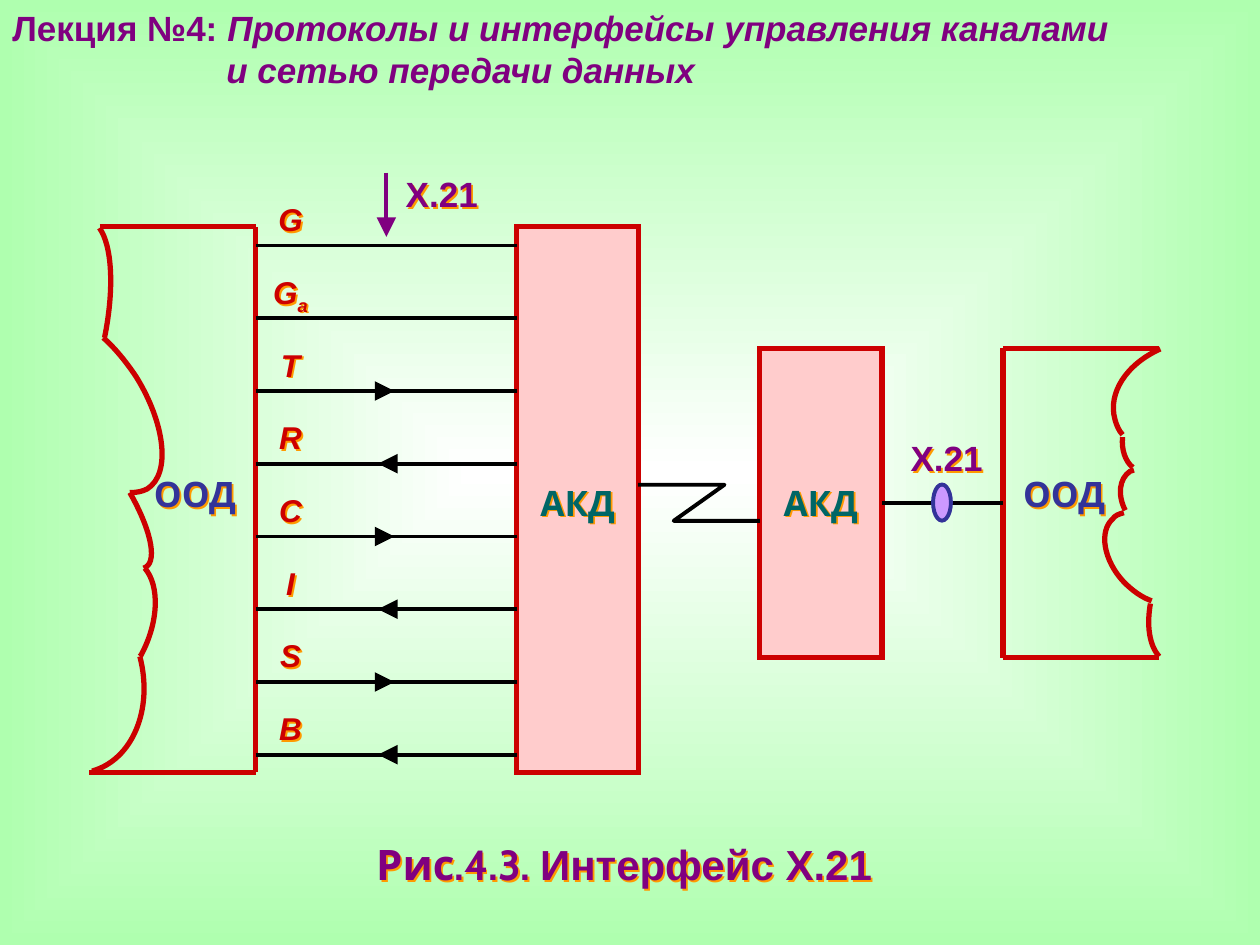
"""Build the slide with the X.21 interface diagram."""
from copy import deepcopy

from lxml import etree
from pptx import Presentation
from pptx.dml.color import RGBColor
from pptx.enum.lang import MSO_LANGUAGE_ID
from pptx.enum.shapes import MSO_CONNECTOR, MSO_SHAPE
from pptx.enum.text import MSO_AUTO_SIZE, PP_ALIGN
from pptx.oxml import parse_xml
from pptx.oxml.ns import nsdecls, qn
from pptx.util import Pt

STRAIGHT = MSO_CONNECTOR.STRAIGHT
RECTANGLE, OVAL = MSO_SHAPE.RECTANGLE, MSO_SHAPE.OVAL
CENTER, FIT = PP_ALIGN.CENTER, MSO_AUTO_SIZE.SHAPE_TO_FIT_TEXT
RUSSIAN = MSO_LANGUAGE_ID.RUSSIAN
WHITE = RGBColor(0xFF, 0xFF, 0xFF)
GREEN = RGBColor(0xAF, 0xFF, 0xAF)
RED = RGBColor(0xCC, 0x00, 0x00)
PINK = RGBColor(0xFF, 0xCC, 0xCC)
BLACK = RGBColor(0x00, 0x00, 0x00)
PURPLE = RGBColor(0x80, 0x00, 0x80)
LILAC = RGBColor(0xCC, 0x99, 0xFF)
NAVY = RGBColor(0x33, 0x33, 0x99)
TEAL = RGBColor(0x00, 0x66, 0x66)
ORANGE = RGBColor(0xFF, 0x99, 0x00)

DTE_X, DCE_X = 146.2, 295.2
ROW_TOP, ROW_STEP = 140.3, 41.57


def add_line(shapes, x1, y1, x2, y2, color=BLACK, width=2.25, arrow=False):
    cx = shapes.add_connector(STRAIGHT, Pt(x1), Pt(y1), Pt(x2), Pt(y2))
    cx.line.color.rgb = color
    cx.line.width = Pt(width)
    if arrow:
        etree.SubElement(cx.line._get_or_add_ln(), qn("a:tailEnd"),
                         type="triangle", w="lg", len="lg")
    etree.SubElement(cx._element.spPr, qn("a:effectLst"))
    return cx


def add_text(box, paragraphs, align=CENTER, inset=0, shadow=True):
    sp = s.shapes.add_textbox(*map(Pt, box))
    tf = sp.text_frame
    tf.word_wrap = True
    if inset:
        tf.auto_size = FIT
    else:
        for side in ("left", "top", "right", "bottom"):
            setattr(tf, f"margin_{side}", 0)
    for i, runs in enumerate(paragraphs):
        p = tf.add_paragraph() if i else tf.paragraphs[0]
        p.alignment = align
        for text, color, fmt in runs:
            r = p.add_run()
            r.text = text
            r.font.color.rgb = color
            for name, value in fmt.items():
                setattr(r.font, name, value)
    if shadow:
        sp._element.spPr.append(parse_xml(
            f'<a:effectLst {nsdecls("a")}><a:outerShdw dist="17961" dir="2700000">'
            f'<a:srgbClr val="{ORANGE}"/></a:outerShdw></a:effectLst>'))
    return tf


prs = Presentation()
prs.slide_width, prs.slide_height = Pt(720), Pt(540)
s = prs.slides.add_slide(prs.slide_layouts[6])

fill = s.background.fill
fill.gradient()
for stop, color, position in zip(fill.gradient_stops, (WHITE, GREEN), (0, 1)):
    stop.color.rgb = color
    stop.position = position
lin = s.element.find(".//" + qn("a:lin"))
lin.getparent().replace(lin, parse_xml(
    f'<a:path {nsdecls("a")} path="shape">'
    '<a:fillToRect l="50000" t="50000" r="50000" b="50000"/></a:path>'))

torn_blocks = [
    (DTE_X, (56.9, 129.6), (51.1, 441.4), [
        ((33.8, 197.3), [(56.9, 130.3), (64.1, 140.4), (65.5, 164.9), (59.8, 193)]),
        ((53.3, 230.4), [
            (59, 193), (65.5, 198.7), (72, 206.6), (77.8, 215.3), (94.3, 241.9),
            (97.9, 270.7), (84.2, 279.4), (81.4, 280.8), (78.5, 281.5), (74.2, 281.5)]),
        ((57.6, 283.7), [(82.1, 324.7), (82.8, 324.7), (82.8, 324), (83.5, 324),
                         (90, 319.7), (85.7, 301.7), (74.2, 281.5)]),
        ((56.9, 362.2), [(82.8, 324.7), (91.4, 334.8), (90.7, 355.7), (80.6, 374.4),
                         (79.9, 375.1), (79.9, 375.1), (79.9, 375.1)]),
        ((36.7, 385.9), [(52.6, 440.6), (75.6, 434.2), (87.8, 405.4), (79.9, 375.1)]),
    ]),
    (573.1, (662.4, 199), (662.4, 375.8), [
        ((683.3, 340.6), [(662.4, 375.1), (656.6, 368.6), (655.2, 357.1), (657.4, 344.9)]),
        ((656.6, 319), [
            (658.1, 343.4), (652.3, 341.3), (647.3, 337.7), (642.2, 332.6), (630.7, 320.4),
            (627.8, 303.8), (635.8, 296.6), (637.2, 294.5), (639.4, 293.8), (642.2, 293)]),
        ((657.4, 286.6), [(648, 268.6), (647.3, 268.6), (646.6, 268.6), (645.8, 269.3),
                          (639.4, 273.6), (638.6, 283), (643, 291.6)]),
        ((662.4, 246.2), [(647.3, 267.1), (643, 263.5), (640.8, 257), (641.5, 249.8)]),
        ((680.4, 228.2), [(663.1, 199.4), (643.7, 208.1), (632.9, 224.6), (637.2, 239.8),
                          (637.9, 242.6), (639.4, 246.2), (641.5, 248.4)]),
    ]),
]
for side_x, top, bottom, arcs in torn_blocks:
    shapes = s.shapes.add_group_shape().shapes
    for x1, y1, x2, y2 in ((*top, side_x, top[1]), (*bottom, side_x, bottom[1]),
                           (side_x, top[1], side_x, bottom[1])):
        add_line(shapes, x1, y1, x2, y2, RED, 3)
    for center, arc in arcs:
        builder = shapes.build_freeform(*map(Pt, arc[0]))
        builder.add_line_segments([tuple(map(Pt, c)) for c in (*arc[1:], center)])
        sp = builder.convert_to_shape()
        sp.shadow.inherit = False
        sp.fill.background()
        sp.line.color.rgb = RED
        sp.line.width = Pt(3)
        sector = sp._element.find(".//" + qn("a:path"))
        steps = sector.findall(qn("a:lnTo"))
        for k in range(0, len(arc) - 1, 3):
            curve = etree.Element(qn("a:cubicBezTo"))
            steps[k].addprevious(curve)
            for step in steps[k:k + 3]:
                curve.append(step[0])
                sector.remove(step)
        outline = deepcopy(sector)
        for tag in ("a:lnTo", "a:close"):
            outline.remove(outline.find(qn(tag)))
        outline.set("fill", "none")
        sector.set("stroke", "0")
        sector.addprevious(outline)

dce = []
for x, y, height in ((DCE_X, 129.6, 311.8), (434.2, 199, 176.6)):
    sp = s.shapes.add_shape(RECTANGLE, Pt(x), Pt(y), Pt(69.8), Pt(height))
    sp.shadow.inherit = False
    sp.fill.solid()
    sp.fill.fore_color.rgb = PINK
    sp.line.color.rgb = RED
    sp.line.width = Pt(3)
    etree.SubElement(sp.line._get_or_add_ln(), qn("a:miter"), lim="800000")
    dce.append(sp)

builder = s.shapes.build_freeform(Pt(364.6), Pt(277))
builder.add_line_segments([(Pt(x), Pt(y)) for x, y in
                           ((414, 277), (385, 297.6), (434.2, 297.6))], close=False)
sp = builder.convert_to_shape()
sp.shadow.inherit = False
sp.fill.background()
sp.line.color.rgb = BLACK
sp.line.width = Pt(2.25)

cx = add_line(s.shapes, 504, 287.3, 573.1, 287.3)
cx.begin_connect(dce[1], 3)
sp = s.shapes.add_shape(OVAL, Pt(533.2), Pt(276.9), Pt(10.2), Pt(20.6))
sp.shadow.inherit = False
sp.fill.solid()
sp.fill.fore_color.rgb = LILAC
sp.line.color.rgb = NAVY
sp.line.width = Pt(2.25)
add_line(s.shapes, 220.8, 98.6, 220.8, 135.4, PURPLE, arrow=True)

signal = {"name": "Arial", "size": Pt(18), "bold": True, "italic": True}
for i, name in enumerate(("G", "Ga", "T", "R", "C", "I", "S", "B")):
    y = ROW_TOP + i * ROW_STEP
    add_line(s.shapes, DTE_X, y, DCE_X, y)
    if i >= 2:
        x1, x2 = (225.4, 216) if i % 2 else (216, 225.4)
        add_line(s.shapes, x1, y, x2, y, arrow=True)
    tf = add_text((DTE_X, y - 26, 39.6, 26), [[(c, RED, signal) for c in name]])
    for r in tf.paragraphs[0].runs[1:]:
        r.font._element.set("baseline", "-25000")

cabin = {"name": "Cabin", "size": Pt(20), "bold": True, "language_id": RUSSIAN}
arial = {**cabin, "name": "Arial"}
for text, x, y, width, color, fmt in (
    ("ООД", 86.6, 270, 49.7, NAVY, cabin),
    ("АКД", 305.3, 275, 49.7, TEAL, cabin),
    ("ООД", 583.2, 270, 49.7, NAVY, cabin),
    ("АКД", 444.2, 275, 49.7, TEAL, cabin),
    ("Х.21", 227.6, 98.6, 49.7, PURPLE, arial),
    ("Х.21", 518.6, 249.4, 44.6, PURPLE, arial),
):
    add_text((x, y, width, 26), [[(text, color, fmt)]])

add_text((47.9, 475.5, 624.2, 36), [[
    ("Рис.4.3. ", PURPLE, {**cabin, "size": Pt(24)}),
    ("Интерфейс Х.21 ", PURPLE, {**arial, "size": Pt(24)})]], inset=1)

italic = {**arial, "italic": True}
tf = add_text((0, 0, 650.2, 55.4), [
    [("Лекция №4: ", PURPLE, arial),
     ("Протоколы и интерфейсы управления каналами", PURPLE, italic)],
    [("и сетью передачи данных", PURPLE, italic)],
], align=None, inset=1, shadow=False)
tf.paragraphs[1]._p.get_or_add_pPr().set("marL", str(Pt(122.3)))

prs.save("out.pptx")
